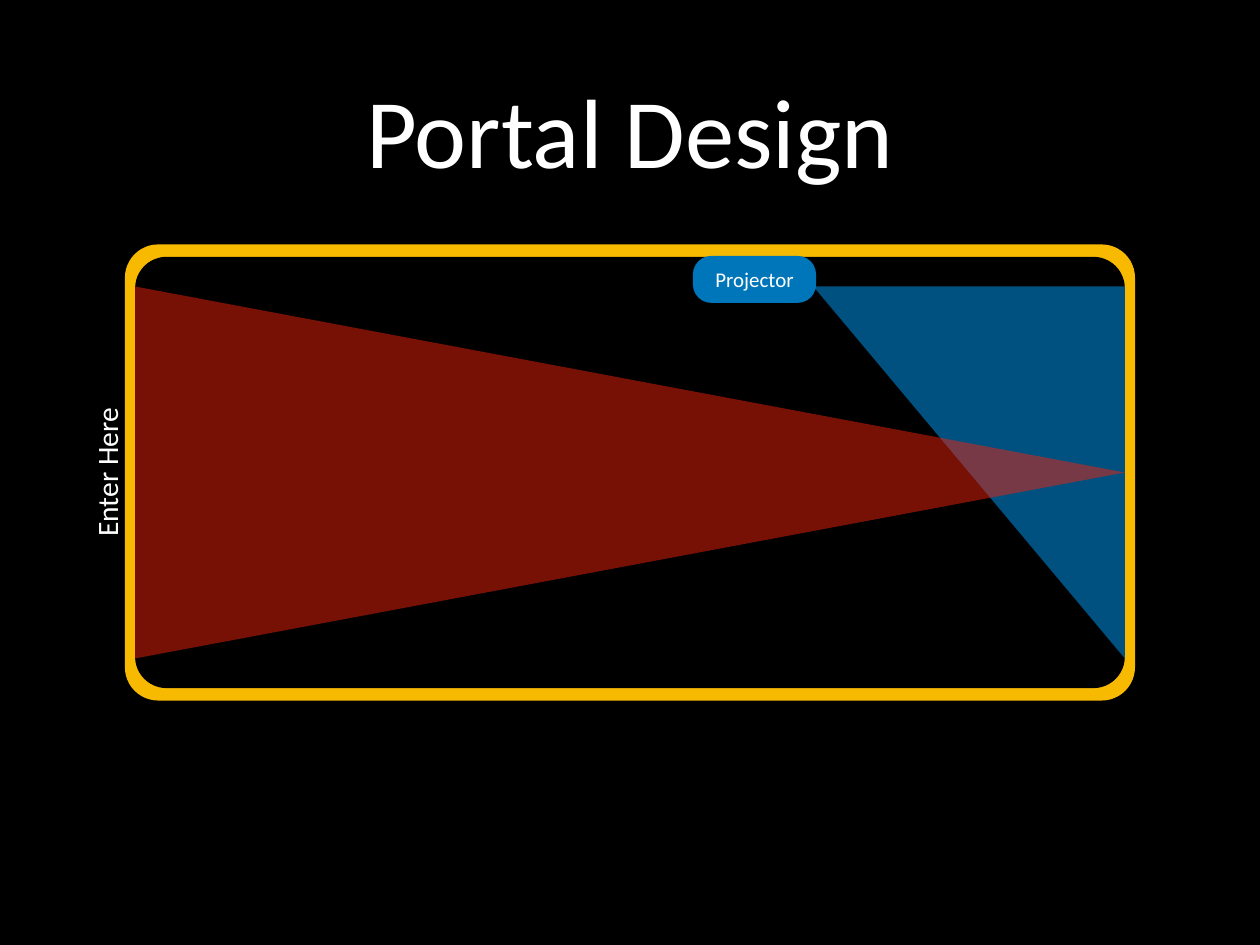
from lxml import etree
from pptx import Presentation
from pptx.dml.color import RGBColor
from pptx.enum.shapes import MSO_SHAPE
from pptx.enum.text import MSO_ANCHOR, PP_ALIGN
from pptx.oxml.ns import qn
from pptx.util import Inches, Pt

ROUNDED = MSO_SHAPE.ROUNDED_RECTANGLE
MIDDLE, CENTER = MSO_ANCHOR.MIDDLE, PP_ALIGN.CENTER

BLACK = RGBColor(0x00, 0x00, 0x00)
WHITE = RGBColor(0xFF, 0xFF, 0xFF)
GOLD = RGBColor(0xF8, 0xBA, 0x00)
BLUE = RGBColor(0x00, 0x76, 0xBA)
SKY = RGBColor(0x00, 0xA2, 0xFF)
RED = RGBColor(0xEE, 0x22, 0x0C)

# Content
TITLE = "Portal Design"
DEVICE = "Projector"
ENTRANCE = "Enter Here"
FONT = "Calibri"

# Geometry in inches: the room is centred on the slide
WIDTH, HEIGHT = 14.22, 10.67
MID_X, MID_Y = WIDTH / 2, HEIGHT / 2
OUTER = (11.4, 5.15)
INNER = (11.17, 4.87)
CORNER = 0.073
LEFT_WALL, RIGHT_WALL = MID_X - INNER[0] / 2, MID_X + INNER[0] / 2
SCREEN_TOP, SCREEN_BOTTOM = MID_Y - 2.1, MID_Y + 2.1
LENS_X = 9.18
PROJECTOR = (7.82, 2.89, 1.39, 0.53)

# Light beam from the projector, and the view from the entrance
BEAM = [(RIGHT_WALL, SCREEN_BOTTOM), (RIGHT_WALL, SCREEN_TOP), (LENS_X, SCREEN_TOP)]
VIEW = [(RIGHT_WALL, MID_Y), (LEFT_WALL, SCREEN_BOTTOM), (LEFT_WALL, SCREEN_TOP)]


def centred(x, y, width, height):
    return x - width / 2, y - height / 2, width, height


def paint(shape, color, opacity=100):
    shape.shadow.inherit = False
    shape.fill.solid()
    shape.fill.fore_color.rgb = color
    shape.line.fill.background()
    if opacity < 100:
        tint = shape.fill._xPr.find(".//" + qn("a:srgbClr"))
        etree.SubElement(tint, qn("a:alpha"), val=str(opacity * 1000))


def add_rounded(page, bounds, color, corner):
    shape = page.shapes.add_shape(ROUNDED, *map(Inches, bounds))
    shape.adjustments[0] = corner
    paint(shape, color)
    return shape


def add_triangle(page, points, color):
    corners = [(Inches(x), Inches(y)) for x, y in points]
    builder = page.shapes.build_freeform(*corners[0])
    builder.add_line_segments(corners[1:], close=True)
    paint(builder.convert_to_shape(), color, opacity=50)


def write(box, text, size, wrap=True):
    frame = box.text_frame
    frame.word_wrap = wrap
    frame.vertical_anchor = MIDDLE
    frame.margin_left = frame.margin_right = Inches(0.06)
    frame.margin_top = frame.margin_bottom = Inches(0.06)
    para = frame.paragraphs[0]
    para.alignment = CENTER
    span = para.add_run()
    span.text = text
    span.font.name, span.font.size = FONT, Pt(size)
    span.font.color.rgb = WHITE


def add_label(page, bounds, text, size, rotation=0, wrap=True):
    box = page.shapes.add_textbox(*map(Inches, bounds))
    box.rotation = rotation
    write(box, text, size, wrap)


def main():
    deck = Presentation()
    deck.slide_width, deck.slide_height = Inches(WIDTH), Inches(HEIGHT)
    page = deck.slides.add_slide(deck.slide_layouts[6])
    page.background.fill.solid()
    page.background.fill.fore_color.rgb = BLACK

    # Title
    add_label(page, centred(MID_X, 1.46, 12.14, 2.36), TITLE, 80)

    # Room walls
    for size, color in ((OUTER, GOLD), (INNER, BLACK)):
        add_rounded(page, centred(MID_X, MID_Y, *size), color, CORNER)

    # Projector and the two cones
    add_triangle(page, BEAM, SKY)
    write(add_rounded(page, PROJECTOR, BLUE, 0.391), DEVICE, 17)
    add_triangle(page, VIEW, RED)

    # Entrance label, reading upwards beside the left wall
    add_label(page, centred(1.2, MID_Y, 1.75, 0.57), ENTRANCE, 24,
              rotation=270, wrap=False)

    deck.save("out.pptx")


if __name__ == "__main__":
    main()
